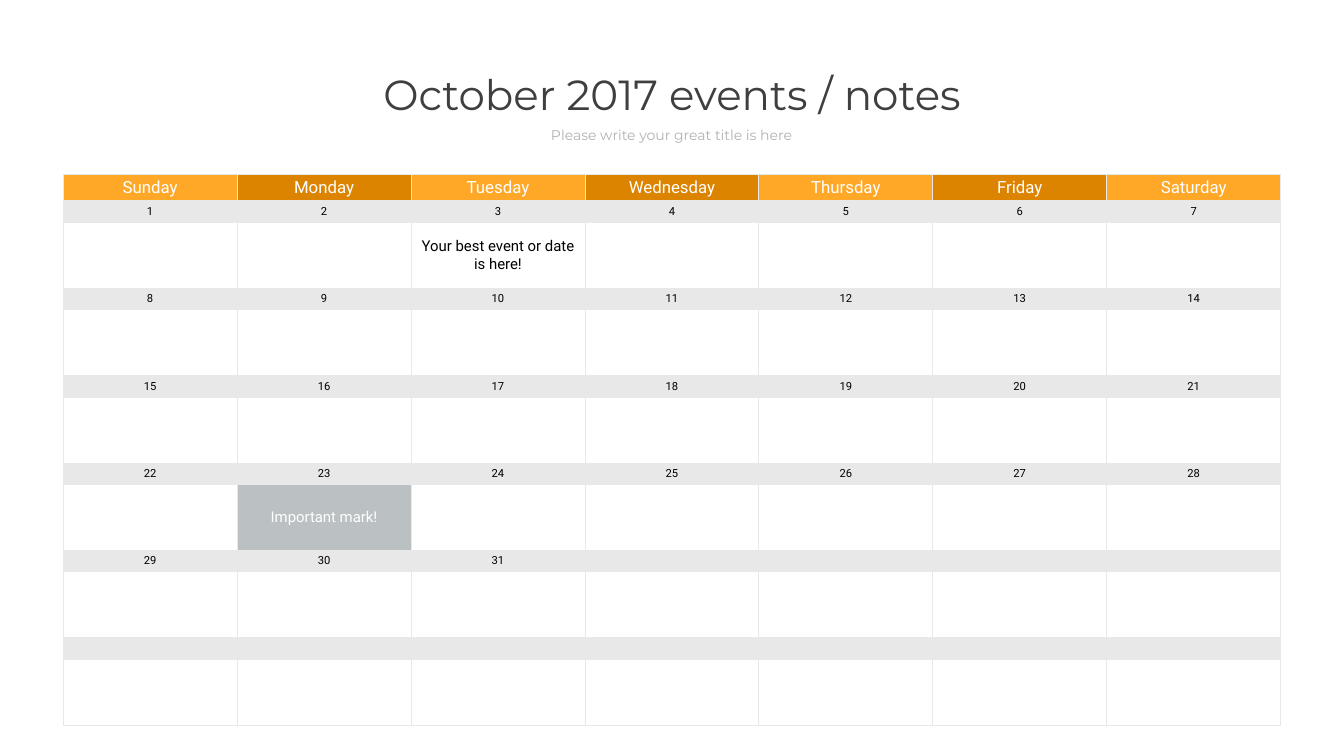
from lxml import etree
from pptx import Presentation
from pptx.dml.color import RGBColor
from pptx.enum import text
from pptx.oxml import ns
from pptx.util import Inches, Pt

DAYS = ["Sunday", "Monday", "Tuesday", "Wednesday", "Thursday", "Friday", "Saturday"]
WEEKS = 6
LAST_DAY = 31
GRID = "E8E8E8"
HEADER_FILLS = ["FFA827", "DC8400"]

# Formats for the kinds of text
TITLE = {"size": Pt(45), "name": "Montserrat", "color": "3F3F3F"}
SUBTITLE = {"size": Pt(15), "name": "Montserrat", "color": "B2B2B2"}
WEEKDAY = {"size": Pt(18), "name": "Roboto", "color": "FFFFFF"}
DATE = {"size": Pt(12), "name": "Roboto", "color": "000000"}
EVENT = {"size": Pt(16), "name": "Roboto", "color": "000000"}
MARK = {**EVENT, "color": "FFFFFF"}


def rgb(value):
    return RGBColor.from_string(value)


def write(tf, lines, fmt):
    for i, line in enumerate(lines):
        p = tf.paragraphs[0] if i == 0 else tf.add_paragraph()
        p.alignment = text.PP_ALIGN.CENTER
        r = p.add_run()
        r.text = line
        for key, value in fmt.items():
            if key == "color":
                r.font.color.rgb = rgb(value)
            else:
                setattr(r.font, key, value)


def add_text(s, left, top, width, height, line, fmt):
    sp = s.shapes.add_textbox(Inches(left), Inches(top), Inches(width), Inches(height))
    sp.text_frame.word_wrap = True
    write(sp.text_frame, [line], fmt)


def fill_cell(cell, color, alpha=None):
    cell.fill.solid()
    cell.fill.fore_color.rgb = rgb(color)
    if alpha is not None:
        clr = cell._tc.tcPr.find(".//" + ns.qn("a:srgbClr"))
        etree.SubElement(clr, ns.qn("a:alpha"), val=str(alpha * 1000))


def set_borders(cell, bottom):
    tc_pr = cell._tc.get_or_add_tcPr()
    for side, width in {"L": 1, "R": 1, "T": 1, "B": bottom}.items():
        ln = etree.SubElement(tc_pr, ns.qn("a:ln" + side), w=str(Pt(width)))
        solid = etree.SubElement(ln, ns.qn("a:solidFill"))
        etree.SubElement(solid, ns.qn("a:srgbClr"), val=GRID)


def add_grid(s, left, top, width, heights):
    frame = s.shapes.add_table(len(heights), len(DAYS), Inches(left), Inches(top),
                               Inches(width), Inches(sum(heights)))
    table = frame.table
    table.first_row = table.horz_banding = False
    for col in table.columns:
        col.width = Inches(width / len(DAYS))
    for i, height in enumerate(heights):
        table.rows[i].height = Inches(height)
        for cell in table.rows[i].cells:
            set_borders(cell, bottom=2 if i == 0 else 1)
            cell.fill.background()
            cell.margin_top = cell.margin_bottom = 0
            cell.vertical_anchor = text.MSO_ANCHOR.MIDDLE
    return table


def add_calendar(s):
    table = add_grid(s, 0.94, 2.6, 18.12, [0.39] + [0.32, 0.98] * WEEKS)

    # Weekday header
    for col, day in enumerate(DAYS):
        cell = table.cell(0, col)
        fill_cell(cell, HEADER_FILLS[col % 2])
        write(cell.text_frame, [day], WEEKDAY)

    # Date strips
    for i in range(WEEKS * len(DAYS)):
        week, col = divmod(i, len(DAYS))
        cell = table.cell(1 + 2 * week, col)
        fill_cell(cell, GRID, alpha=20)
        if i < LAST_DAY:
            write(cell.text_frame, [str(i + 1)], DATE)

    # Notes on the 3rd and the 23rd
    write(table.cell(2, 2).text_frame, ["Your best event or date", "is here!"], EVENT)
    marked = table.cell(8, 1)
    fill_cell(marked, "BBC0C3")
    write(marked.text_frame, ["Important mark!"], MARK)


def main():
    prs = Presentation()
    prs.slide_width, prs.slide_height = Inches(20), Inches(11.25)
    s = prs.slides.add_slide(prs.slide_layouts[6])
    add_calendar(s)

    # Headings
    add_text(s, 3.25, 0.97, 13.5, 0.86, "October 2017 events / notes", TITLE)
    add_text(s, 6.51, 1.83, 6.97, 0.35, "Please write your great title is here", SUBTITLE)
    prs.save("out.pptx")


if __name__ == "__main__":
    main()
